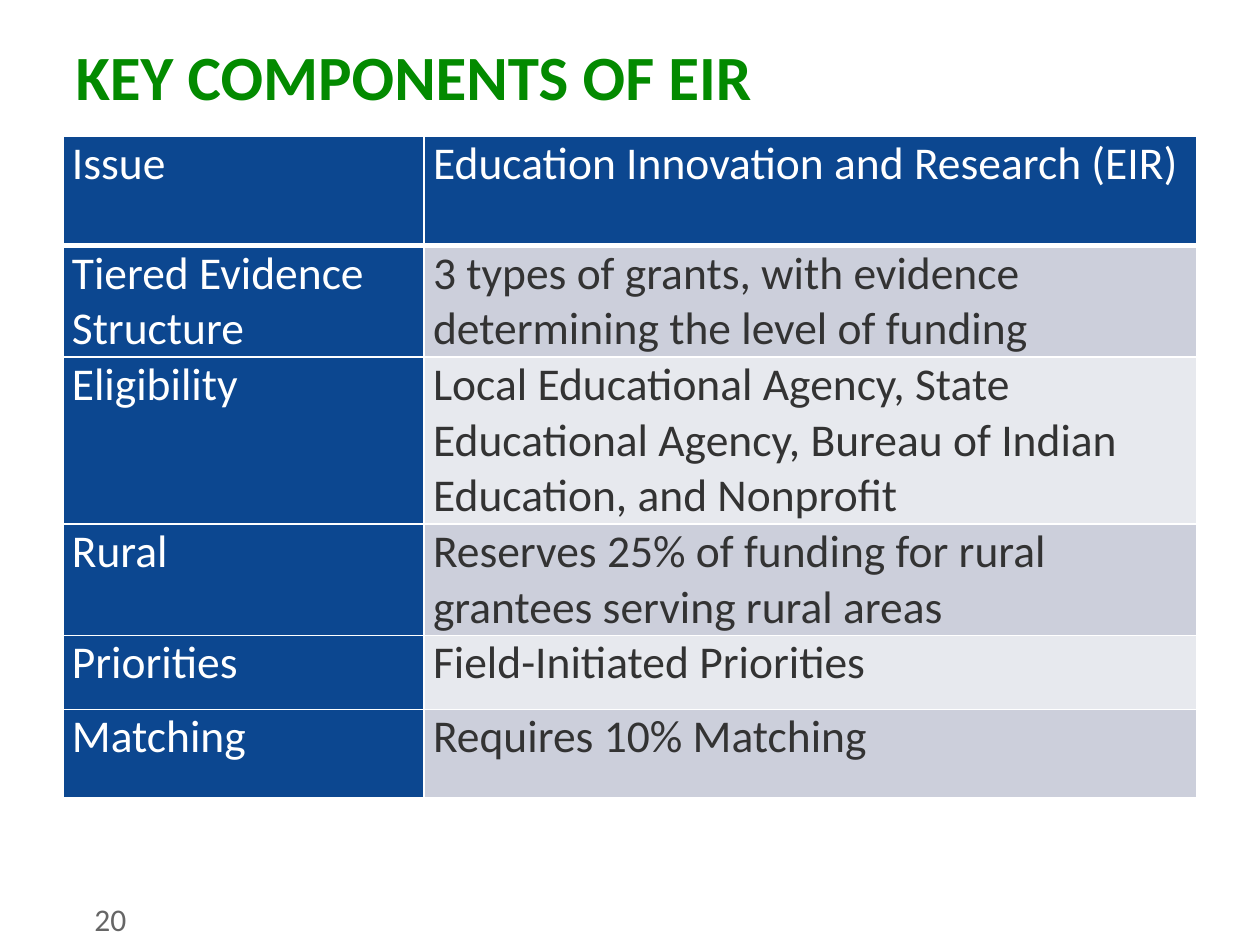
import pptx
import pptx.dml.color
import pptx.enum.text
import pptx.oxml
import pptx.oxml.ns
import pptx.util

Pt = pptx.util.Pt

TITLE = "KEY COMPONENTS OF EIR"
PAGE_NUMBER = "20"
COMPONENTS = [
    ("Issue", "Education Innovation and Research (EIR)"),
    ("Tiered Evidence Structure",
     "3 types of grants, with evidence determining the level of funding"),
    ("Eligibility",
     "Local Educational Agency, State Educational Agency, "
     "Bureau of Indian Education, and Nonprofit"),
    ("Rural", "Reserves 25% of funding for rural grantees serving rural areas"),
    ("Priorities", "Field-Initiated Priorities"),
    ("Matching", "Requires 10% Matching"),
]
COLUMN_WIDTHS = [206.4, 441.6]
ROW_HEIGHTS = [62.4, 62.4, 93.6, 62.4, 42.3, 50.4]

FONT = "Calibri"
WHITE, BLUE, GREEN = "FFFFFF", "0C4790", "038A00"
DARK, GREY = "333333", "666666"
BANDS = ["E7E9EE", "CCCFDB"]


def color(hex_code):
    return pptx.dml.color.RGBColor.from_string(hex_code)


def write(frame, text, *, size, ink, bold=False, insets=(7.2, 3.6)):
    """Fill a text frame; insets are (left and right, top and bottom)."""
    frame.word_wrap = True
    frame.vertical_anchor = pptx.enum.text.MSO_ANCHOR.TOP
    frame.margin_left = frame.margin_right = Pt(insets[0])
    frame.margin_top = frame.margin_bottom = Pt(insets[1])
    paragraph = frame.paragraphs[0]
    paragraph.alignment = pptx.enum.text.PP_ALIGN.LEFT
    run = paragraph.add_run()
    run.text = text
    run.font.name = FONT
    run.font.size = Pt(size)
    run.font.bold = bold
    run.font.color.rgb = color(ink)


def set_borders(cell, bottom_width):
    """Draw white borders; must run before the cell gets its fill."""
    properties = cell._tc.get_or_add_tcPr()
    for side, width in (("L", 1), ("R", 1), ("T", 1), ("B", bottom_width)):
        properties.append(pptx.oxml.parse_xml(
            f'<a:ln{side} {pptx.oxml.ns.nsdecls("a")} w="{Pt(width)}">'
            f'<a:solidFill><a:srgbClr val="{WHITE}"/></a:solidFill>'
            f'</a:ln{side}>'))


def add_components_table(slide):
    table = slide.shapes.add_table(
        len(COMPONENTS), len(COLUMN_WIDTHS), Pt(36), Pt(78),
        Pt(sum(COLUMN_WIDTHS)), Pt(sum(ROW_HEIGHTS))).table
    for column, width in zip(table.columns, COLUMN_WIDTHS):
        column.width = Pt(width)
    for row, height in zip(table.rows, ROW_HEIGHTS):
        row.height = Pt(height)
    for r, component in enumerate(COMPONENTS):
        for c, text in enumerate(component):
            cell = table.cell(r, c)
            is_heading = r == 0 or c == 0
            set_borders(cell, 3 if r == 0 else 1)
            cell.fill.solid()
            cell.fill.fore_color.rgb = color(BLUE if is_heading else BANDS[r % 2])
            cell.margin_left = cell.margin_right = Pt(5.1)
            cell.margin_top = cell.margin_bottom = 0
            write(cell.text_frame, text, size=26,
                  ink=WHITE if is_heading else DARK, insets=(5.1, 0))


def main():
    deck = pptx.Presentation()
    deck.slide_width, deck.slide_height = Pt(720), Pt(540)
    slide = deck.slides.add_slide(deck.slide_layouts[5])

    title = slide.shapes.title
    title.left, title.top, title.width, title.height = Pt(36), Pt(18), Pt(648), Pt(45)
    write(title.text_frame, TITLE, size=36, ink=GREEN, bold=True)
    title.text_frame.auto_size = pptx.enum.text.MSO_AUTO_SIZE.NONE

    add_components_table(slide)

    page_number = slide.shapes.add_textbox(Pt(54), Pt(511), Pt(42), Pt(29))
    write(page_number.text_frame, PAGE_NUMBER, size=18, ink=GREY, insets=(0, 3.6))

    deck.save("out.pptx")


if __name__ == "__main__":
    main()
